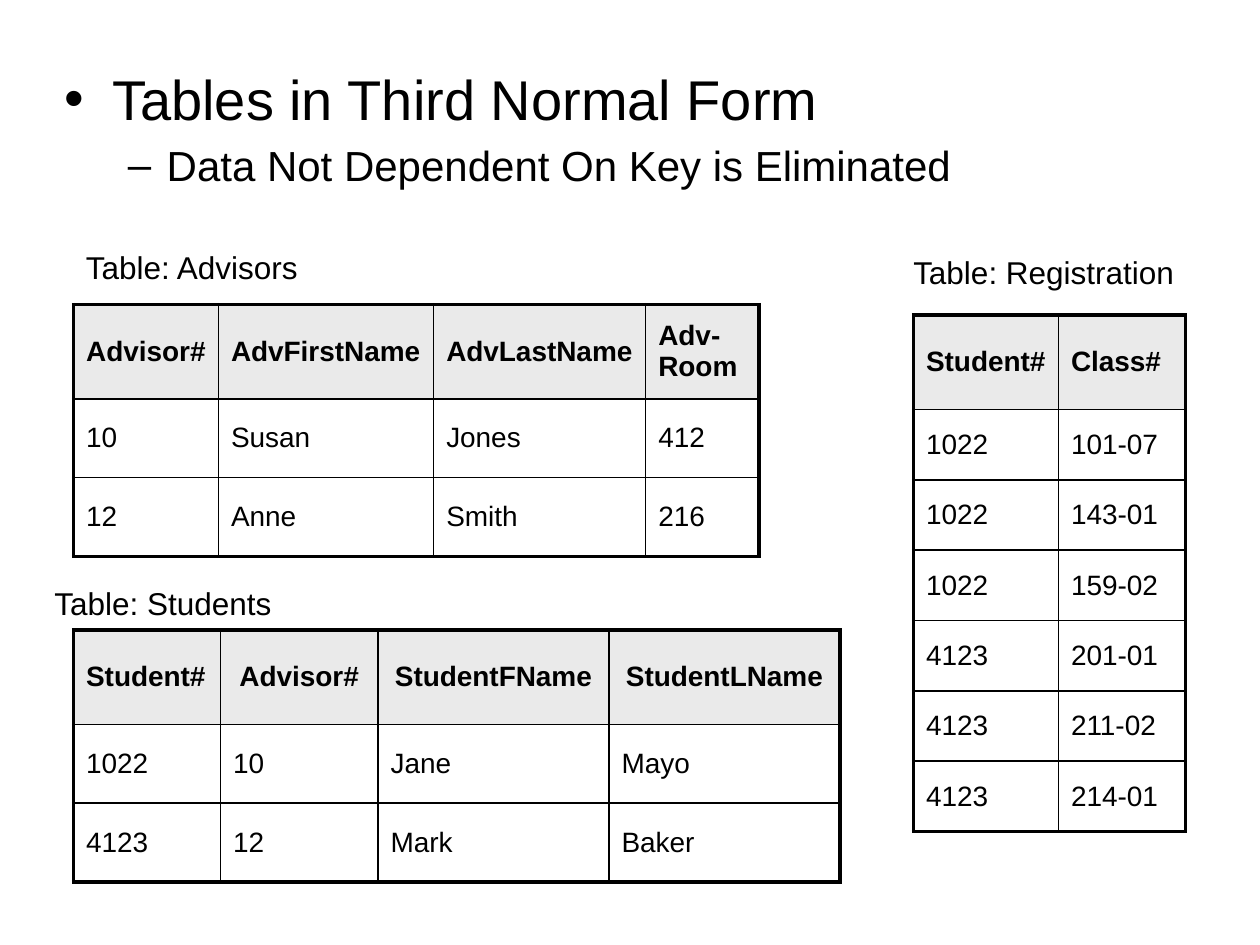
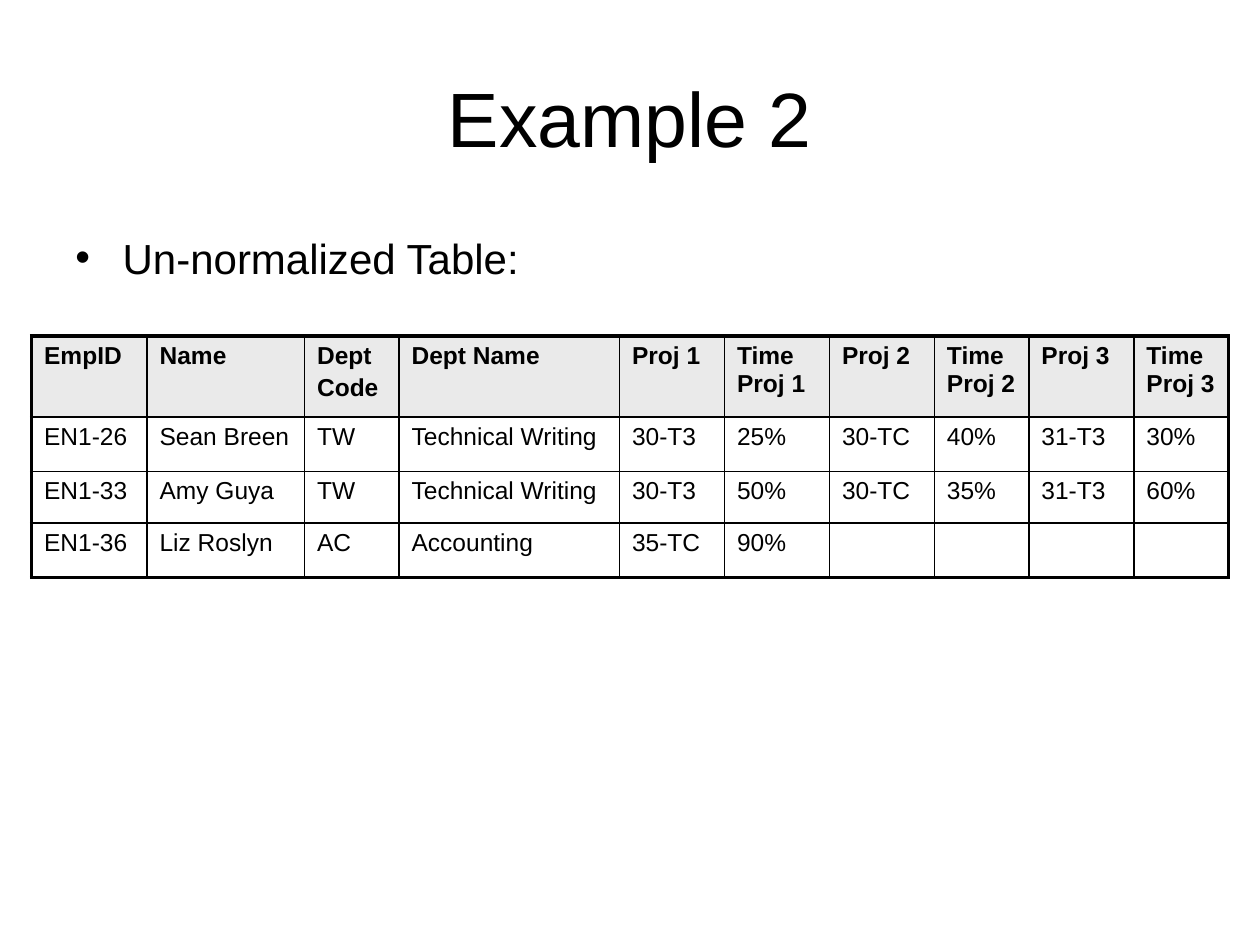
from lxml import etree
from pptx import Presentation
from pptx import util as u
from pptx.dml.color import RGBColor
from pptx.enum import text
from pptx.oxml.ns import qn

PX = 7620  # EMU per px, 120 px to the inch
FONT = "Arial"
BLACK = "000000"
HEADER_GREY = "EAEAEA"
THIN, THICK = 1, 2.25
TITLE_ONLY, BLANK = 5, 6
# level: (bullet, text indent, hanging indent)
BULLETS = [("•", 45, 45), ("–", 97, 37)]


def px(*lengths):
    return [u.Emu(length * PX) for length in lengths]


def color(hex_code):
    return RGBColor.from_string(hex_code)


def add_run(paragraph, words, size, bold=False):
    run = paragraph.add_run()
    run.text = words
    run.font.name = FONT
    run.font.size = u.Pt(size)
    run.font.bold = bold
    run.font.color.rgb = color(BLACK)


def paragraphs(frame, count):
    """Yield count paragraphs, spaced by a fifth of a line."""
    for index in range(count):
        if index == 0:
            yield frame.paragraphs[0]
            continue
        paragraph = frame.add_paragraph()
        before = etree.SubElement(paragraph._p.get_or_add_pPr(), qn("a:spcBef"))
        etree.SubElement(before, qn("a:spcPct"), val="20000")
        yield paragraph


def add_title(slide, words, box):
    title = slide.shapes.title
    title.left, title.top, title.width, title.height = px(*box)
    title.text_frame.vertical_anchor = text.MSO_ANCHOR.MIDDLE
    paragraph = title.text_frame.paragraphs[0]
    paragraph.alignment = text.PP_ALIGN.CENTER
    add_run(paragraph, words, 44)


def add_bullets(slide, box, points):
    """Points are (words, size) pairs, each one level below the last."""
    frame = slide.shapes.add_textbox(*px(*box)).text_frame
    frame.word_wrap = True
    frame.margin_top = px(11)[0]
    levels = zip(paragraphs(frame, len(points)), points, BULLETS)
    for level, (paragraph, (words, size), (bullet, indent, hang)) in enumerate(levels):
        paragraph.level = level
        properties = paragraph._p.get_or_add_pPr()
        properties.set("marL", str(indent * PX))
        properties.set("indent", str(-hang * PX))
        etree.SubElement(properties, qn("a:buFont"), typeface=FONT)
        etree.SubElement(properties, qn("a:buChar"), char=bullet)
        add_run(paragraph, words, size)


def add_caption(slide, words, left, top, width):
    frame = slide.shapes.add_textbox(*px(left, top, width, 48)).text_frame
    frame.word_wrap = False
    frame.auto_size = text.MSO_AUTO_SIZE.SHAPE_TO_FIT_TEXT
    add_run(frame.paragraphs[0], words, 18)


def set_borders(cell, widths):
    """Widths in points, in the order left, right, top, bottom."""
    properties = cell._tc.get_or_add_tcPr()
    for side, width in zip("LRTB", widths):
        line = etree.SubElement(properties, qn(f"a:ln{side}"), w=str(u.Pt(width)))
        fill = etree.SubElement(line, qn("a:solidFill"))
        etree.SubElement(fill, qn("a:srgbClr"), val=BLACK)


def add_data_table(slide, left, top, columns, row_heights, rows, size=16,
                   anchor=text.MSO_ANCHOR.MIDDLE, centered=()):
    """Grid with a grey header and thick frame; centered lists header columns."""
    table = slide.shapes.add_table(
        len(rows), len(columns),
        *px(left, top, sum(columns), sum(row_heights))).table
    table.horz_banding = False
    for column, width in zip(table.columns, px(*columns)):
        column.width = width
    for row, height in zip(table.rows, px(*row_heights)):
        row.height = height
    last_row, last_column = len(rows) - 1, len(columns) - 1
    for r, values in enumerate(rows):
        for c, value in enumerate(values):
            cell = table.cell(r, c)
            on_frame = (c == 0, c == last_column, r == 0, r == last_row)
            set_borders(cell, [THICK if edge else THIN for edge in on_frame])
            cell.vertical_anchor = anchor
            if r == 0:
                cell.fill.solid()
                cell.fill.fore_color.rgb = color(HEADER_GREY)
            else:
                cell.fill.background()
            if not value:
                continue
            lines = value.split("\n")
            for paragraph, line in zip(paragraphs(cell.text_frame, len(lines)), lines):
                if r == 0 and c in centered:
                    paragraph.alignment = text.PP_ALIGN.CENTER
                add_run(paragraph, line, size, bold=r == 0)


def build_third_normal_form(slide):
    add_bullets(slide, (50, 50, 1040, 160), [
        ("Tables in Third Normal Form", 32),
        ("Data Not Dependent On Key is Eliminated", 24)])

    add_data_table(slide, 70, 600, [140, 150, 220, 220], [90, 75, 75], [
        ("Student#", "Advisor#", "StudentFName", "StudentLName"),
        ("1022", "10", "Jane", "Mayo"),
        ("4123", "12", "Mark", "Baker")], centered=(1, 2, 3))
    add_caption(slide, "Table: Students", 40, 550, 234)

    add_data_table(slide, 870, 300, [138, 121], [90] + [67] * 6, [
        ("Student#", "Class#"),
        ("1022", "101-07"),
        ("1022", "143-01"),
        ("1022", "159-02"),
        ("4123", "201-01"),
        ("4123", "211-02"),
        ("4123", "214-01")])
    add_caption(slide, "Table: Registration", 858, 235, 276)

    add_data_table(slide, 70, 290, [138, 205, 202, 108], [90, 75, 75], [
        ("Advisor#", "AdvFirstName", "AdvLastName", "Adv-Room"),
        ("10", "Susan", "Jones", "412"),
        ("12", "Anne", "Smith", "216")], centered=(0,))
    add_caption(slide, "Table: Advisors", 70, 230, 230)


def build_unnormalized_example(slide):
    add_title(slide, "Example 2", (60, 36, 1080, 150))
    add_bullets(slide, (60, 210, 530, 60), [("Un-normalized Table:", 24)])
    add_data_table(
        slide, 30, 320,
        [110, 150, 90, 210, 100, 100, 100, 90, 100, 90], [77, 52, 49, 52], [
            ("EmpID", "Name", "Dept\nCode", "Dept Name", "Proj 1", "Time Proj 1",
             "Proj 2", "Time Proj 2", "Proj 3", "Time Proj 3"),
            ("EN1-26", "Sean Breen", "TW", "Technical Writing", "30-T3", "25%",
             "30-TC", "40%", "31-T3", "30%"),
            ("EN1-33", "Amy Guya", "TW", "Technical Writing", "30-T3", "50%",
             "30-TC", "35%", "31-T3", "60%"),
            ("EN1-36", "Liz Roslyn", "AC", "Accounting", "35-TC", "90%",
             "", "", "", "")],
        size=14, anchor=text.MSO_ANCHOR.TOP)


def main():
    deck = Presentation()
    deck.slide_width, deck.slide_height = px(1200, 900)
    for layout, build in ((BLANK, build_third_normal_form),
                          (TITLE_ONLY, build_unnormalized_example)):
        build(deck.slides.add_slide(deck.slide_layouts[layout]))
    deck.save("out.pptx")


if __name__ == "__main__":
    main()
